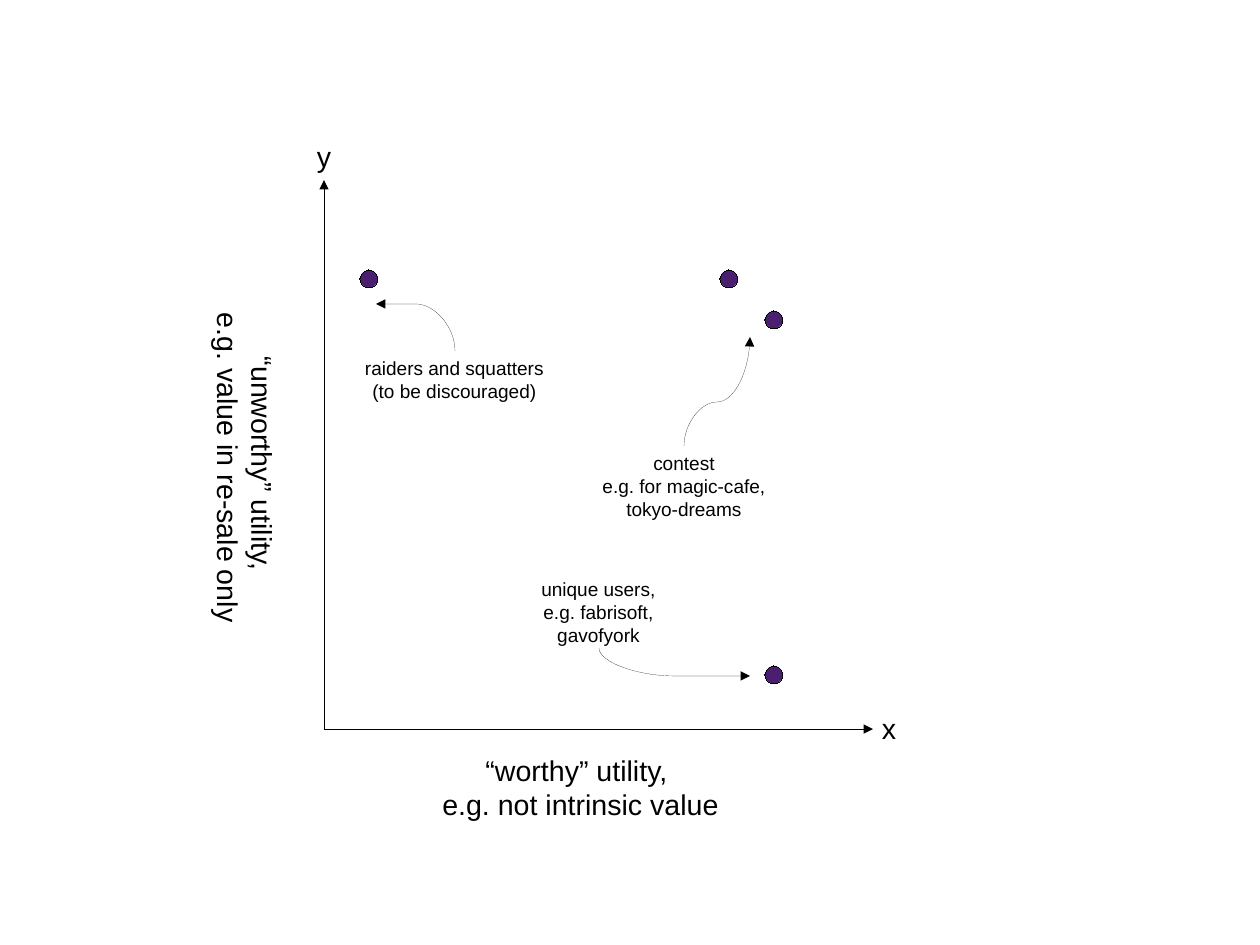
"""Build a slide that plots worthy against unworthy utility."""
from typing import NamedTuple

from lxml import etree
from pptx import Presentation
from pptx import util as u
from pptx.dml.color import RGBColor
from pptx.enum import shapes, text
from pptx.oxml import ns

PX = 8000
BLACK = RGBColor(0x00, 0x00, 0x00)
PURPLE = RGBColor(0x4B, 0x1F, 0x6F)
FONT = "Arial"
DOT_SIZE = 18


class Arrow(NamedTuple):
    x1: int
    y1: int
    x2: int
    y2: int
    bend: int = 0


class Label(NamedTuple):
    left: int
    top: int
    width: int
    height: int
    lines: tuple[str, ...]
    size: int = 12
    has_margins: bool = True
    rotation: int = 0
    align: text.PP_ALIGN = text.PP_ALIGN.CENTER


AXES = (Arrow(324, 729, 324, 180), Arrow(324, 729, 873, 729))
DOTS = ((360, 270), (720, 270), (765, 666), (765, 311))
POINTERS = (
    Arrow(455, 351, 376, 304, 100000),
    Arrow(599, 648, 750, 676, 100000),
    Arrow(684, 446, 750, 337, 40400),
)
LABELS = (
    Label(324, 747, 513, 75, ("“worthy” utility, ", "e.g. not intrinsic value"), 18),
    Label(-13, 430, 522, 75, ("“unworthy” utility, ", "e.g. value in re-sale only"),
          18, rotation=90),
    Label(342, 351, 225, 55, ("raiders and squatters (to be discouraged)",)),
    Label(522, 572, 153, 75, ("unique users,", "e.g. fabrisoft, gavofyork")),
    Label(585, 446, 198, 75, ("contest", "e.g. for magic-cafe, tokyo-dreams")),
    Label(297, 139, 54, 41, ("y",), 18, False),
    Label(882, 711, 54, 32, ("x",), 18, False, align=text.PP_ALIGN.LEFT),
)


def px(length: float) -> u.Emu:
    """Turn a length in px into EMU."""
    return u.Emu(round(length * PX))


def set_hairline(outlined) -> None:
    """Give a shape or connector the thinnest black line."""
    outlined.line.color.rgb = BLACK
    outlined._element.spPr.find(ns.qn("a:ln")).set("w", "0")


def add_arrow(slide, arrow: Arrow) -> None:
    """Draw a straight arrow, or a curve that leaves vertically if it has a bend."""
    x1, y1, x2, y2, bend = arrow
    kind = shapes.MSO_CONNECTOR.STRAIGHT
    if bend:
        kind = shapes.MSO_CONNECTOR.CURVE
        mid_x, mid_y = (x1 + x2) / 2, (y1 + y2) / 2
        x1, y1, x2, y2 = (mid_x + mid_y - y1, mid_y + x1 - mid_x,
                          mid_x + mid_y - y2, mid_y + x2 - mid_x)
    connector = slide.shapes.add_connector(kind, px(x1), px(y1), px(x2), px(y2))
    set_hairline(connector)
    properties = connector._element.spPr
    if bend:
        properties.find(ns.qn("a:xfrm")).set("rot", str(270 * 60000))
        adjustments = properties.find(ns.qn("a:prstGeom")).get_or_add_avLst()
        etree.SubElement(adjustments, ns.qn("a:gd"), name="adj1", fmla=f"val {bend}")
    etree.SubElement(properties.find(ns.qn("a:ln")), ns.qn("a:tailEnd"), type="triangle")
    etree.SubElement(properties, ns.qn("a:effectLst"))


def add_dot(slide, left: int, top: int) -> None:
    """Draw one plotted case."""
    dot = slide.shapes.add_shape(shapes.MSO_SHAPE.OVAL, px(left), px(top),
                                 px(DOT_SIZE), px(DOT_SIZE))
    dot.shadow.inherit = False
    dot.fill.solid()
    dot.fill.fore_color.rgb = PURPLE
    set_hairline(dot)


def add_label(slide, label: Label) -> None:
    """Write one label with a paragraph for each line."""
    box = slide.shapes.add_textbox(px(label.left), px(label.top),
                                   px(label.width), px(label.height))
    box.rotation = label.rotation
    frame = box.text_frame
    frame.word_wrap = True
    frame.auto_size = text.MSO_AUTO_SIZE.SHAPE_TO_FIT_TEXT
    if not label.has_margins:
        frame.margin_left = frame.margin_right = 0
        frame.margin_top = frame.margin_bottom = 0
    frame.text = "\n".join(label.lines)
    for paragraph in frame.paragraphs:
        paragraph.alignment = label.align
        paragraph.font.name = FONT
        paragraph.font.size = u.Pt(label.size)
        paragraph.font.color.rgb = BLACK


def main() -> None:
    """Build and save the slide."""
    deck = Presentation()
    deck.slide_width, deck.slide_height = px(1260), px(945)
    slide = deck.slides.add_slide(deck.slide_layouts[6])
    for arrow in AXES + POINTERS:
        add_arrow(slide, arrow)
    for left, top in DOTS:
        add_dot(slide, left, top)
    for label in LABELS:
        add_label(slide, label)
    deck.save("out.pptx")


if __name__ == "__main__":
    main()
